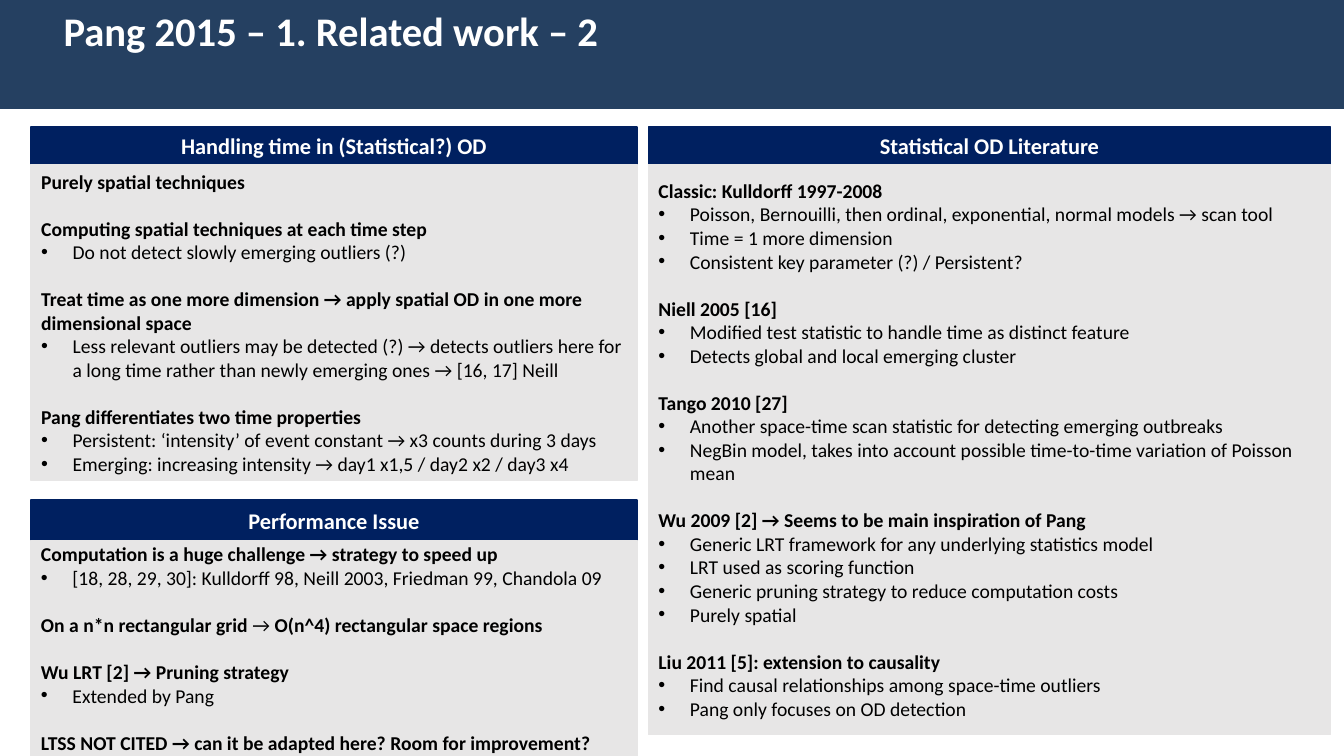
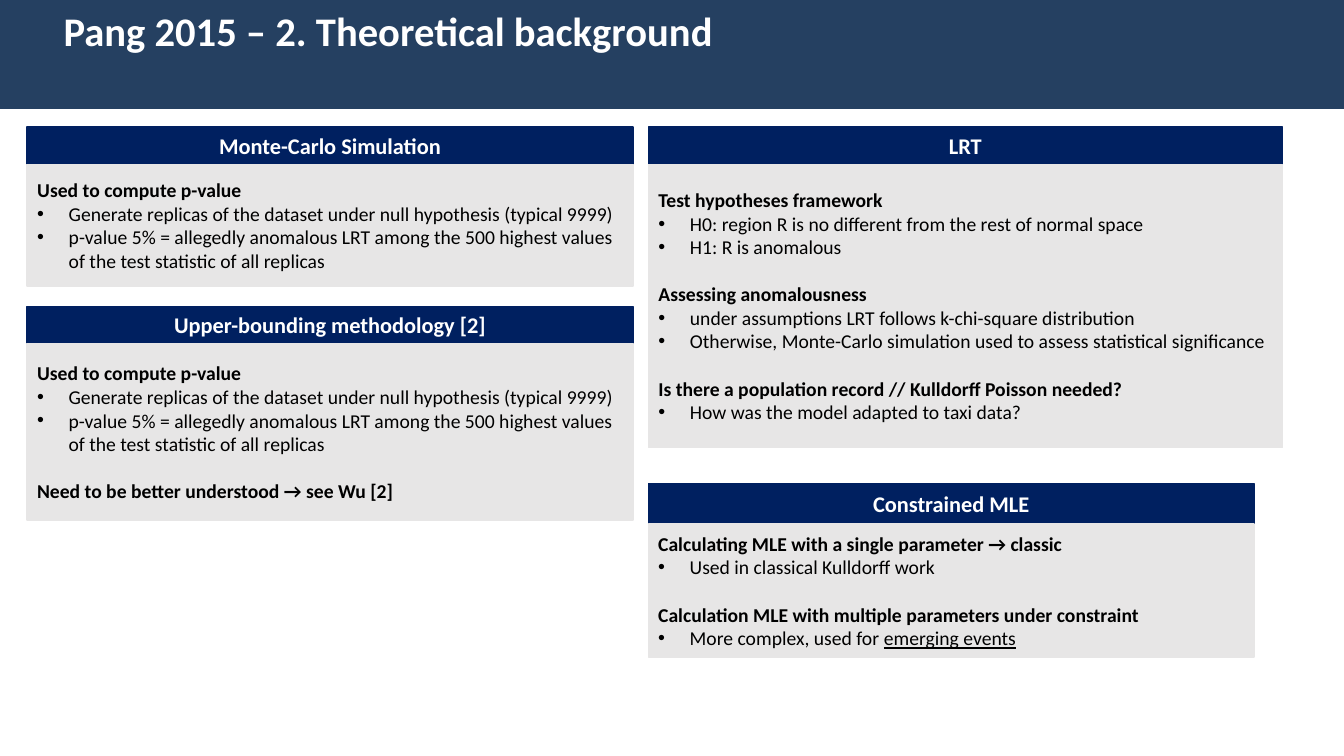
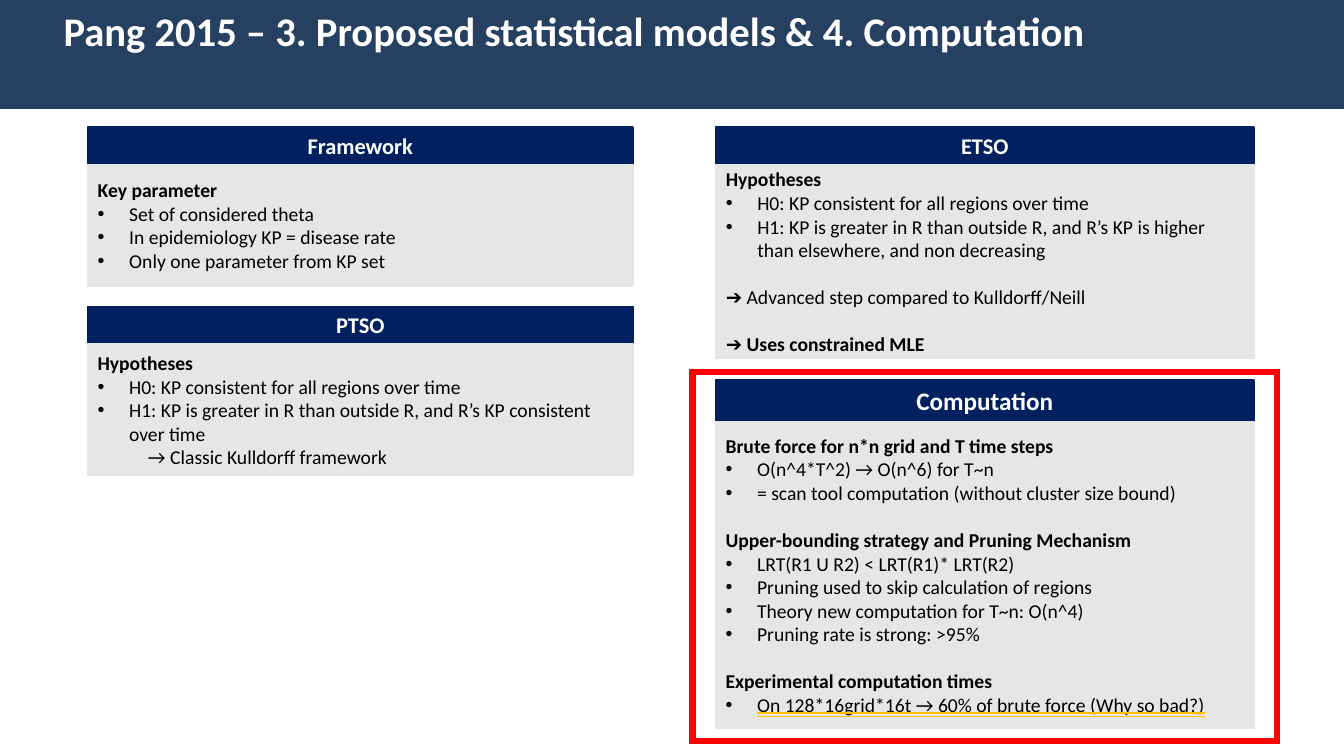
import pptx
import pptx.util
import pptx.dml.color
import pptx.enum.shapes
import pptx.enum.text
import pptx.oxml
import pptx.oxml.ns

Pt = pptx.util.Pt
ALIGN = pptx.enum.text.PP_ALIGN
ANCHOR = pptx.enum.text.MSO_ANCHOR
DOUBLE = pptx.enum.text.MSO_UNDERLINE.DOUBLE_LINE
RECTANGLE = pptx.enum.shapes.MSO_SHAPE.RECTANGLE

# Shared style
FONT = "Calibri"
COLORS = {
    "band": "254061", "heading": "002060", "panel": "E7E6E6",
    "white": "FFFFFF", "black": "000000", "frame": "FF0000", "doubt": "FFC000",
}
COMPARISON_LAYOUT = 4
TOP = 90.7
HEADING_HEIGHT = 26.6
TALL_HEADING = 28.8
BLOCK_GAP = 16.8

# Kinds of line in a panel
HEAD = {"bold": True}
PLAIN = {}
ITEM = {"bullet": "•", "indent": 22.5}
NOTE = {"indent": 36}


def rgb(name):
    return pptx.dml.color.RGBColor.from_string(COLORS[name])


def add_xml(parent, tag, content="", **attributes):
    values = "".join(f' {key}="{value}"' for key, value in attributes.items())
    element = pptx.oxml.parse_xml(
        f'<a:{tag} {pptx.oxml.ns.nsdecls("a")}{values}>{content}</a:{tag}>')
    parent.append(element)
    return element


def write(paragraph, text, size=14, color="black", bold=False, align=ALIGN.LEFT,
          before=0, bullet=None, indent=0):
    """Fill a paragraph; text is a string or a list of (string, run format)."""
    paragraph.alignment = align
    paragraph.line_spacing = 1.0
    paragraph.space_before = Pt(before)
    paragraph.space_after = Pt(0)
    properties = paragraph._p.get_or_add_pPr()
    properties.set("marL", str(Pt(indent)))
    properties.set("indent", str(-Pt(indent) if bullet else 0))
    if bullet:
        add_xml(properties, "buFont", typeface="Arial")
        add_xml(properties, "buChar", char=bullet)
    else:
        add_xml(properties, "buNone")
    for words, extra in [(text, {})] if isinstance(text, str) else text:
        run = paragraph.add_run()
        run.text = words
        run.font.size = Pt(size)
        run.font.name = FONT
        run.font.bold = extra.get("bold", bold)
        run.font.underline = extra.get("underline", False)
        run.font.color.rgb = rgb(color)
        if "line_color" in extra:
            fill = f'<a:solidFill><a:srgbClr val="{COLORS[extra["line_color"]]}"/></a:solidFill>'
            underline_fill = add_xml(run._r.get_or_add_rPr(), "uFill", fill)
            run.font._element.find(pptx.oxml.ns.qn("a:latin")).addprevious(underline_fill)


def place(box, left, top, width, height):
    box.left, box.top, box.width, box.height = map(Pt, (left, top, width, height))


def paint(box, fill, anchor=ANCHOR.MIDDLE, margins=(7.2, 3.6)):
    """Give a box its fill, outline and text frame settings."""
    box.fill.solid()
    box.fill.fore_color.rgb = rgb(fill)
    box.line.color.rgb = rgb(fill)
    box.line.width = Pt(1)
    frame = box.text_frame
    frame.word_wrap = True
    frame.auto_size = pptx.enum.text.MSO_AUTO_SIZE.NONE
    frame.vertical_anchor = anchor
    frame.margin_left = frame.margin_right = Pt(margins[0])
    frame.margin_top = frame.margin_bottom = Pt(margins[1])


def add_rectangle(slide):
    rectangle = slide.shapes.add_shape(RECTANGLE, 0, 0, 0, 0)
    rectangle.shadow.inherit = False
    return rectangle


def fill_blocks(frame, blocks):
    """Each block is a heading followed by items; a tuple names another kind."""
    paragraph = frame.paragraphs[0]
    for block_number, block in enumerate(blocks):
        for line_number, line in enumerate(block):
            kind = ITEM if line_number else HEAD
            if isinstance(line, tuple):
                kind, line = line
            if block_number or line_number:
                paragraph = frame.add_paragraph()
            gap = BLOCK_GAP if block_number and not line_number else 0
            write(paragraph, line, before=gap, **kind)


def add_panel(slide, spare, heading, blocks, left, width, height, top=TOP,
              heading_height=HEADING_HEIGHT, heading_size=16):
    """Use the layout's placeholders first, then rectangles."""
    header = spare.pop(0) if spare else add_rectangle(slide)
    body = spare.pop(0) if spare else add_rectangle(slide)
    place(header, left, top, width, heading_height)
    place(body, left, top + heading_height, width, height)
    paint(header, "heading")
    paint(body, "panel")
    write(header.text_frame.paragraphs[0], heading, size=heading_size,
          color="white", bold=True, align=ALIGN.CENTER)
    fill_blocks(body.text_frame, blocks)


def add_slide(deck, title, panels):
    slide = deck.slides.add_slide(deck.slide_layouts[COMPARISON_LAYOUT])
    band = slide.shapes.title
    place(band, 0, 0, 960, 77.8)
    paint(band, "band", anchor=ANCHOR.TOP, margins=(45.4, 4.3))
    band.line.fill.background()
    write(band.text_frame.paragraphs[0], title, size=29, color="white", bold=True)
    spare = [holder for holder in slide.placeholders if holder.placeholder_format.idx]
    for panel in panels:
        add_panel(slide, spare, **panel)
    return slide


def add_highlight(slide, left, top, width, height):
    highlight = add_rectangle(slide)
    place(highlight, left, top, width, height)
    highlight.fill.background()
    highlight.line.color.rgb = rgb("frame")
    highlight.line.width = Pt(4.5)
    outline = highlight._element.spPr.find(pptx.oxml.ns.qn("a:ln"))
    add_xml(outline, "miter", lim="800000")


# Content
RELATED_WORK = [
    dict(heading="Handling time in (Statistical?) OD", left=22.2, width=432.8, height=226.1, blocks=[
        ["Purely spatial techniques"],
        ["Computing spatial techniques at each time step",
         "Do not detect slowly emerging outliers (?)"],
        ["Treat time as one more dimension → apply spatial OD in one more dimensional space",
         "Less relevant outliers may be detected (?) → detects outliers here for a long time "
         "rather than newly emerging ones → [16, 17] Neill"],
        ["Pang differentiates two time properties",
         "Persistent: ‘intensity’ of event constant → x3 counts during 3 days",
         "Emerging: increasing intensity → day1 x1,5 / day2 x2 / day3 x4"],
    ]),
    dict(heading="Statistical OD Literature", left=463.1, width=487.4, height=407.5, blocks=[
        ["Classic: Kulldorff 1997-2008",
         "Poisson, Bernouilli, then ordinal, exponential, normal models → scan tool",
         "Time = 1 more dimension",
         "Consistent key parameter (?) / Persistent?"],
        ["Niell 2005 [16]",
         "Modified test statistic to handle time as distinct feature",
         "Detects global and local emerging cluster"],
        ["Tango 2010 [27]",
         "Another space-time scan statistic for detecting emerging outbreaks",
         "NegBin model, takes into account possible time-to-time variation of Poisson mean"],
        ["Wu 2009 [2] → Seems to be main inspiration of Pang",
         "Generic LRT framework for any underlying statistics model",
         "LRT used as scoring function",
         "Generic pruning strategy to reduce computation costs",
         "Purely spatial"],
        ["Liu 2011 [5]: extension to causality",
         "Find causal relationships among space-time outliers",
         "Pang only focuses on OD detection"],
    ]),
    dict(heading="Performance Issue", left=22.2, top=357.1, width=432.8, height=154.1,
         heading_height=TALL_HEADING, blocks=[
        ["Computation is a huge challenge → strategy to speed up",
         "[18, 28, 29, 30]: Kulldorff 98, Neill 2003, Friedman 99, Chandola 09"],
        [[("On a n*n rectangular grid", {}), (" → ", {"bold": False}),
          ("O(n^4) rectangular space regions", {})]],
        ["Wu LRT [2] → Pruning strategy", "Extended by Pang"],
        ["LTSS NOT CITED → can it be adapted here? Room for improvement?"],
    ]),
]

P_VALUE = [
    "Used to compute p-value",
    "Generate replicas of the dataset under null hypothesis (typical 9999)",
    "p-value 5% = allegedly anomalous LRT among the 500 highest values "
    "of the test statistic of all replicas",
]

BACKGROUND = [
    dict(heading="Monte-Carlo Simulation", left=19.4, width=432.8, height=87.1, blocks=[P_VALUE]),
    dict(heading="LRT", left=463.1, width=452.9, height=202.3, blocks=[
        ["Test hypotheses framework",
         "H0: region R is no different from the rest of normal space",
         "H1: R is anomalous"],
        ["Assessing anomalousness",
         "under assumptions LRT follows k-chi-square distribution",
         "Otherwise, Monte-Carlo simulation used to assess statistical significance"],
        ["Is there a population record // Kulldorff Poisson needed?",
         "How was the model adapted to taxi data?"],
    ]),
    dict(heading="Constrained MLE", left=463.1, top=345.6, width=432.8, height=95,
         heading_height=TALL_HEADING, blocks=[
        ["Calculating MLE with a single parameter → classic",
         "Used in classical Kulldorff work"],
        ["Calculation MLE with multiple parameters under constraint",
         [("More complex, used for ", {}), ("emerging events", {"underline": True})]],
    ]),
    dict(heading="Upper-bounding methodology [2]", left=19.4, top=218.9, width=432.8, height=126,
         blocks=[P_VALUE, ["Need to be better understood → see Wu [2]"]]),
]

CONSISTENT_H0 = "H0: KP consistent for all regions over time"

MODELS = [
    dict(heading="Framework", left=62.6, width=389.5, height=87.1, blocks=[
        ["Key parameter",
         "Set of considered theta",
         "In epidemiology KP = disease rate",
         "Only one parameter from KP set"],
    ]),
    dict(heading="ETSO", left=511.2, width=384.5, height=139, blocks=[
        ["Hypotheses",
         CONSISTENT_H0,
         "H1: KP is greater in R than outside R, and R’s KP is higher than elsewhere, "
         "and non decreasing"],
        [(PLAIN, "➔ Advanced step compared to Kulldorff/Neill")],
        ["➔ Uses constrained MLE"],
    ]),
    dict(heading="PTSO", left=62.6, top=218.9, width=389.5, height=94.3, blocks=[
        ["Hypotheses",
         CONSISTENT_H0,
         "H1: KP is greater in R than outside R, and R’s KP consistent over time",
         (NOTE, "→ Classic Kulldorff framework")],
    ]),
    dict(heading="Computation", left=511.2, top=271.4, width=384.5, height=219.6,
         heading_height=29.5, heading_size=18, blocks=[
        ["Brute force for n*n grid and T time steps",
         "O(n^4*T^2) → O(n^6) for T~n",
         "= scan tool computation (without cluster size bound)"],
        ["Upper-bounding strategy and Pruning Mechanism",
         "LRT(R1 U R2) < LRT(R1)* LRT(R2)",
         "Pruning used to skip calculation of regions",
         "Theory new computation for T~n: O(n^4)",
         "Pruning rate is strong: >95%"],
        ["Experimental computation times",
         [("On 128*16grid*16t → 60% of brute force (Why so bad?)",
           {"underline": DOUBLE, "line_color": "doubt"})]],
    ]),
]


def main():
    deck = pptx.Presentation()
    deck.slide_width, deck.slide_height = Pt(960), Pt(540)
    add_slide(deck, "Pang 2015 – 1. Related work – 2", RELATED_WORK)
    add_slide(deck, "Pang 2015 – 2. Theoretical background", BACKGROUND)
    models = add_slide(
        deck, "Pang 2015 – 3. Proposed statistical models & 4. Computation", MODELS)
    add_highlight(models, 494.6, 265.7, 417.6, 263.5)
    deck.save("out.pptx")


if __name__ == "__main__":
    main()
